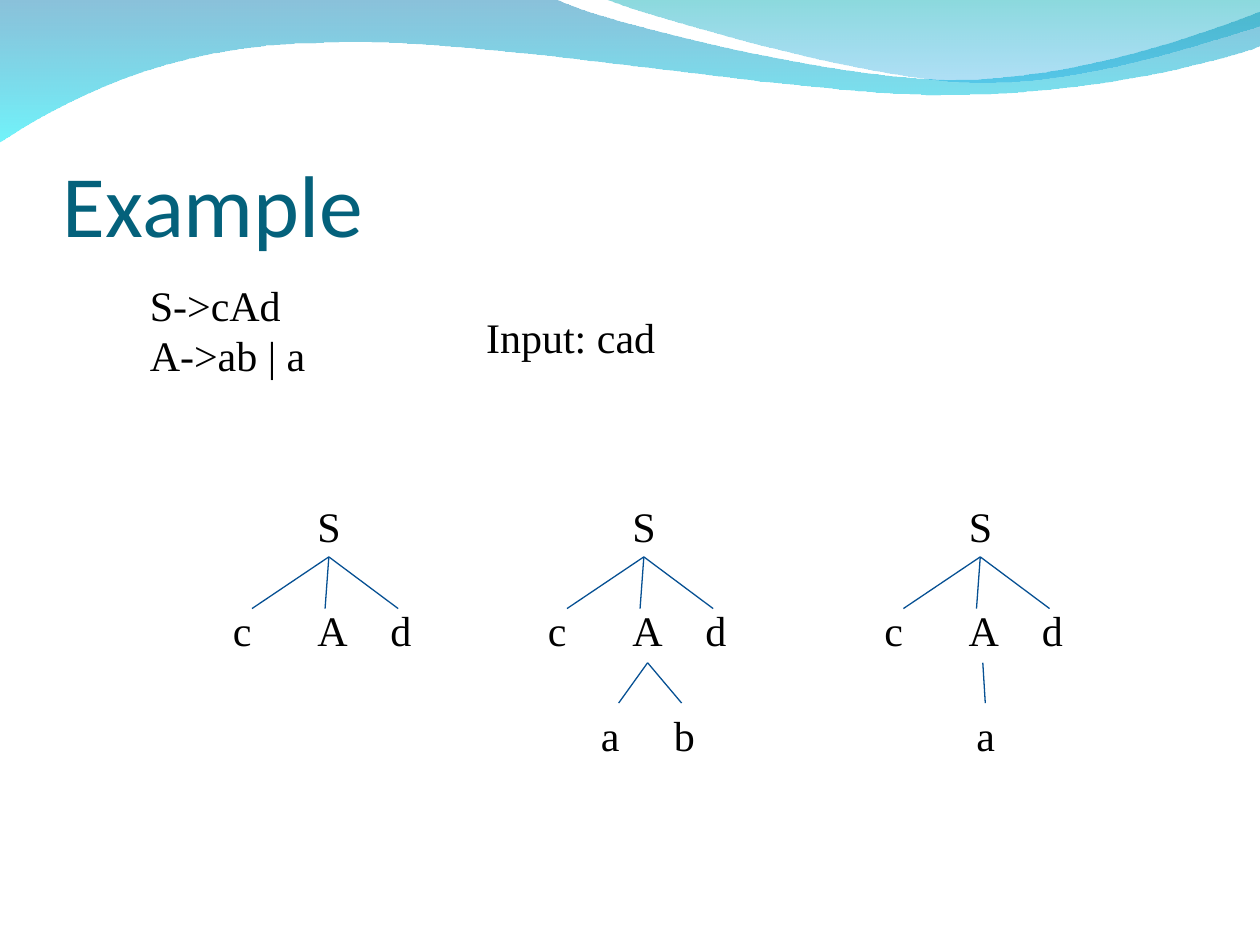
from pptx import Presentation
from pptx import util as u
from pptx.dml.color import RGBColor
from pptx.enum import shapes, text
from pptx.oxml.ns import qn
from lxml import etree

LABEL_WIDTHS = {"S": 0.38, "c": 0.35, "A": 0.44, "d": 0.36, "a": 0.35, "b": 0.36}
APEX_X, APEX_Y = 0.86, 4.42
ROOT_Y, CHILD_Y, LEAF_Y = 3.92, 4.75, 5.58


def color(hex_code):
    return RGBColor.from_string(hex_code)


def write(frame, content, font="Times New Roman", size=24, ink="000000"):
    """Fill a text frame, one paragraph for each line of content."""
    for index, line in enumerate(content.split("\n")):
        paragraph = frame.add_paragraph() if index else frame.paragraphs[0]
        run = paragraph.add_run()
        run.text = line
        run.font.name = font
        run.font.size = u.Pt(size)
        run.font.color.rgb = color(ink)


class SlideBuilder:
    branch_color = "065093"
    title_color = "04617B"

    def __init__(self, slide):
        self.slide = slide

    def wave(self, start, *segments):
        """Outline from line segments (1 point) and curves (3 points)."""
        corners = [start] + [point for segment in segments for point in segment]
        points = [(u.Inches(x), u.Inches(y)) for x, y in corners]
        builder = self.slide.shapes.build_freeform(*points[0], scale=1.0)
        builder.add_line_segments(points[1:], close=True)
        shape = builder.convert_to_shape()

        # Join each run of three points into one cubic curve
        lines = iter(list(shape._element.iter(qn("a:lnTo"))))
        for segment in segments:
            first, *others = [next(lines) for _ in segment]
            if others:
                first.addprevious(curve := etree.Element(qn("a:cubicBezTo")))
                for line in (first, *others):
                    curve.append(line[0])
                    line.getparent().remove(line)
        return shape

    def gradient(self, shape, *stops):
        """Vertical fill from (colour, opacity in percent) pairs."""
        shape.shadow.inherit = False
        shape.line.fill.background()
        shape.fill.gradient()
        shape.fill.gradient_angle = 270
        for stop, (hex_code, _) in zip(shape.fill.gradient_stops, stops):
            stop.color.rgb = color(hex_code)
        tints = shape._element.spPr.iter(qn("a:srgbClr"))
        for tint, (_, opacity) in zip(tints, stops):
            etree.SubElement(tint, qn("a:alpha")).set("val", str(opacity * 1000))

    def title(self, content):
        box = self.slide.shapes.add_textbox(
            u.Inches(0.5), u.Inches(0.77), u.Inches(9), u.Inches(1.25))
        frame = box.text_frame
        frame.word_wrap = True
        frame.vertical_anchor = text.MSO_ANCHOR.BOTTOM
        frame.margin_left = frame.margin_right = frame.margin_bottom = 0
        write(frame, content, font="Calibri", size=50, ink=self.title_color)

    def label(self, content, x, y, width, height=0.5, parent=None):
        box = (parent or self.slide).shapes.add_textbox(
            u.Inches(x), u.Inches(y), u.Inches(width), u.Inches(height))
        box.text_frame.word_wrap = False
        box.text_frame.auto_size = text.MSO_AUTO_SIZE.SHAPE_TO_FIT_TEXT
        write(box.text_frame, content)

    def branch(self, parent, x1, y1, x2, y2):
        line = parent.shapes.add_connector(
            shapes.MSO_CONNECTOR.STRAIGHT,
            u.Inches(x1), u.Inches(y1), u.Inches(x2), u.Inches(y2))
        line.line.color.rgb = color(self.branch_color)
        line.line.width = u.Pt(0.75)
        etree.SubElement(line._element.spPr, qn("a:effectLst"))

    def tree(self, left, leaf_apex=0.89, leaves=()):
        """Parse tree S -> c A d; leaves are (letter, letter x, branch end x)."""
        group = self.slide.shapes.add_group_shape()

        def node(letter, x, y):
            self.label(letter, left + x, y, LABEL_WIDTHS[letter], parent=group)

        node("S", 0.67, ROOT_Y)
        children = (("c", 0, 0.25), ("A", 0.67, 0.83), ("d", 1.25, 1.41))
        for _, _, end in children:
            self.branch(group, left + APEX_X, APEX_Y, left + end, 4.83)
        for letter, x, _ in children:
            node(letter, x, CHILD_Y)
        for _, _, end in leaves:
            self.branch(group, left + leaf_apex, 5.26, left + end, LEAF_Y)
        for letter, x, _ in leaves:
            node(letter, x, LEAF_Y)


def main():
    deck = Presentation()
    deck.slide_width, deck.slide_height = u.Inches(10), u.Inches(7.5)
    page = SlideBuilder(deck.slides.add_slide(deck.slide_layouts[6]))

    # Waves along the top
    broad = page.wave(
        (0, -0.01), [(4.4, -0.01)],
        [(4.76, 0.17), (6.64, 0.63), (7.58, 0.63)],
        [(8.53, 0.63), (9.58, 0.26), (10, 0.09)],
        [(10.01, 0.36)],
        [(9.83, 0.44), (8.7, 0.76), (7.46, 0.75)],
        [(6.22, 0.75), (3.82, 0.28), (2.57, 0.34)],
        [(1.29, 0.35), (0.46, 0.83), (-0.01, 1.13)])
    page.gradient(broad, ("0079AF", 46), ("00EBF8", 56))
    right = page.wave(
        (4.79, -0.01),
        [(5.09, 0.11), (6.82, 0.62), (7.69, 0.65)],
        [(8.56, 0.69), (9.61, 0.32), (10, 0.21)],
        [(10, 0)])
    page.gradient(right, ("00ADB6", 46), ("009BE5", 31))

    # Title, grammar and input
    page.title("Example")
    page.label("S->cAd\nA->ab | a", 1.09, 2.17, 1.45, 0.9)
    page.label("Input: cad", 3.76, 2.42, 1.54)

    # Parse attempts: first step, A->ab, then A->a
    page.tree(1.75)
    page.tree(4.25, leaves=[("a", 0.42, 0.66), ("b", 1, 1.16)])
    page.tree(6.92, leaf_apex=0.88, leaves=[("a", 0.73, 0.9)])

    deck.save("out.pptx")


if __name__ == "__main__":
    main()
